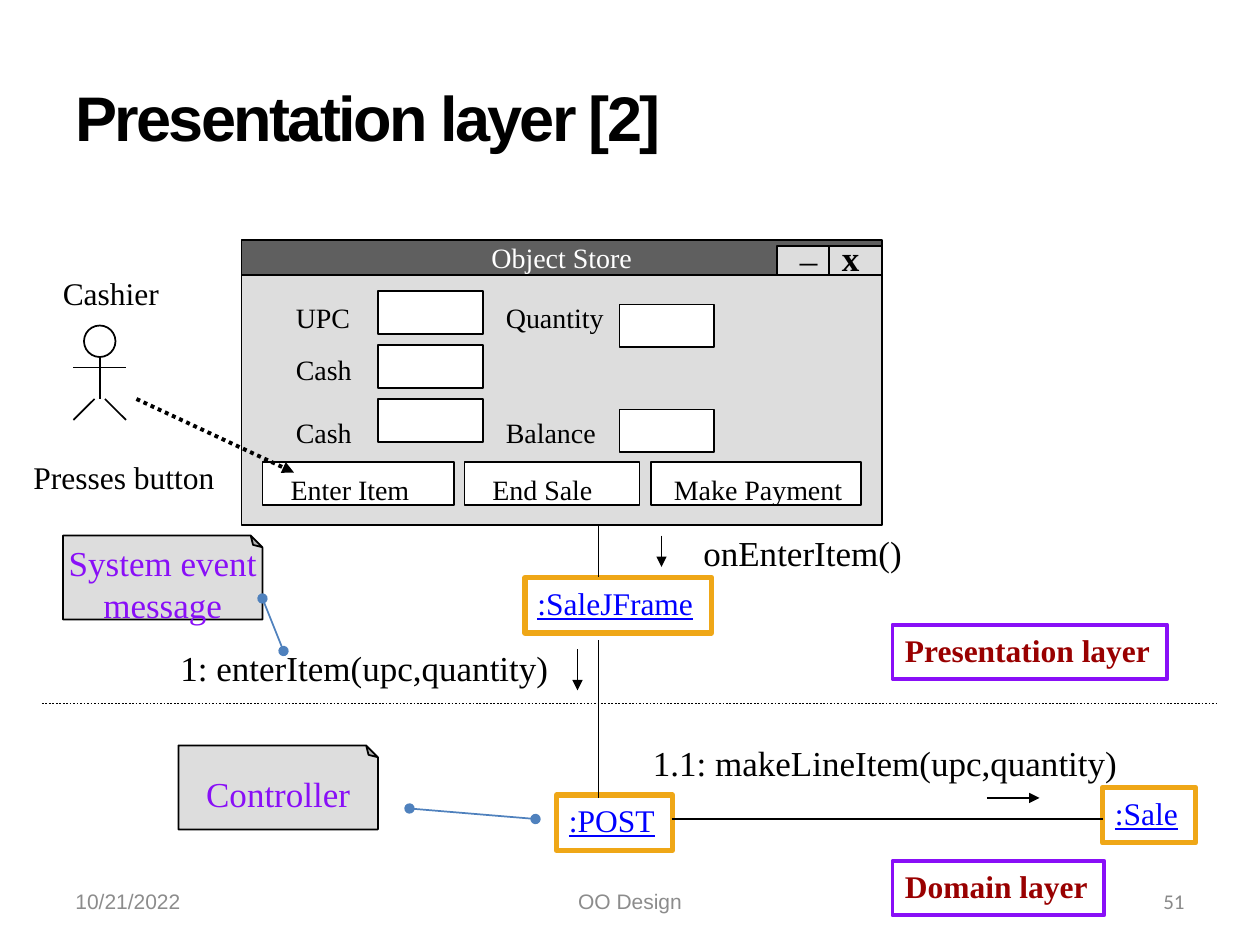
from pptx import Presentation
from pptx import util as u
from pptx.dml.color import RGBColor
from pptx.enum import dml, shapes, text
from pptx.oxml.ns import qn
from lxml import etree

COLORS = {
    "black": "000000", "white": "FFFFFF", "grey": "DDDDDD", "bar": "5F5F5F",
    "footer": "8C8C8C", "number": "898989", "orange": "EFA717", "purple": "890FF7",
    "blue": "4F81BD", "link": "0000FF", "red": "990000",
}
ALIGN = {"left": text.PP_ALIGN.LEFT, "center": text.PP_ALIGN.CENTER, "right": text.PP_ALIGN.RIGHT}
RECTANGLE = shapes.MSO_SHAPE.RECTANGLE

FOOTERS = [
    ("10/21/2022", (36, 500.5, 168, 28.8), "left", "Arial", "footer"),
    ("OO Design", (246, 500.5, 228, 28.8), "center", "Arial", "footer"),
    ("51", (516, 500.5, 168, 28.8), "right", "Calibri", "number"),
]
NOTES = [
    ("Controller", (102, 426, 114, 48)),
    ("System event\nmessage", (36, 306, 114, 48)),
]
OBJECTS = [
    (":SaleJFrame", (300, 330, 106.6, 31.7)),
    (":POST", (318, 454.3, 66.2, 31.7)),
    (":Sale", (630, 450, 53.3, 31.7)),
]
LAYERS = [
    ("Presentation layer", (510, 357, 157, 31)),
    ("Domain layer", (510, 492, 121, 31)),
]
MESSAGES = [
    ("1: enterItem(upc,quantity)", (96, 366, 228, 31)),
    ("onEnterItem()", (394.8, 300, 151, 31)),
    ("1.1: makeLineItem(upc,quantity)", (366, 420, 288, 31)),
]
ACTOR_LABELS = [
    ("Presses button", (12, 258, 118, 28.8)),
    ("Cashier", (28.8, 152.9, 69.8, 28.8)),
]
WINDOW = (138, 137, 366, 163)
TITLE_BAR = (138, 137.5, 366, 19.5)
WINDOW_BUTTONS = [(474, 140.5, 30, 16.5), (444, 140.5, 30, 16.5)]
WINDOW_SIGNS = [("x", (474, 131.5, 24.5, 31), True), ("_", (450, 126, 24.5, 31), False)]
FIELD_HEIGHT = 24.5
FIELD_COLUMNS = [(216, 60, (166.5, 197.25, 228)), (354, 54, (174, 234))]
FIELD_LABELS = [
    ("UPC", 162, 168, 45.4), ("Cash", 162, 198, 46.8), ("Cash", 162, 234, 46.8),
    ("Quantity", 282, 168, 70.6), ("Balance", 282, 234, 66.2),
]
BUTTONS = [
    ("Enter Item", 150, 109.5, 159, 82.8),
    ("End Sale", 265.5, 100, 274.3, 72),
    ("Make Payment", 372, 120, 378, 111),
]
BUTTON_TOP = 264
HEAD = (48, 186, 18, 18)
BODY_LINES = [
    (57, 204, 57, 228), (42, 210, 72, 210), (54, 228, 42, 240), (60, 228, 72, 240),
]
LINKS = [(342, 366, 342, 456), (342, 300, 342, 330), (384, 468, 630, 468)]
ARROWS = [(330, 371, 330, 394.5), (378, 306, 378, 324), (564, 456, 594, 456)]
NOTE_LINES = [(234, 462, 306, 468), (150, 342, 162, 372)]
PRESS_ARROW = (78, 228, 168, 270)
LAYER_BORDER = (24, 402, 696, 402)

presentation = Presentation()
presentation.slide_width, presentation.slide_height = u.Pt(720), u.Pt(540)
slide = presentation.slides.add_slide(presentation.slide_layouts[6])


def color(name):
    return RGBColor.from_string(COLORS[name])


def box(at, kind=RECTANGLE, fill=None, line="black", width=1):
    shape = slide.shapes.add_shape(kind, *map(u.Pt, at))
    shape.shadow.inherit = False
    if fill:
        shape.fill.solid()
        shape.fill.fore_color.rgb = color(fill)
    else:
        shape.fill.background()
    shape.line.color.rgb = color(line)
    shape.line.width = u.Pt(width)
    return shape


def write(words, at=None, shape=None, size=16, font="Times New Roman", ink="black", bold=False,
          underline=False, align="left", middle=False, wrap=False, spacing=None):
    shape = shape or slide.shapes.add_textbox(*map(u.Pt, at))
    frame = shape.text_frame
    frame.text = words
    frame.word_wrap = wrap
    frame.vertical_anchor = text.MSO_ANCHOR.MIDDLE if middle else text.MSO_ANCHOR.TOP
    for paragraph in frame.paragraphs:
        paragraph.alignment = ALIGN[align]
        for run in paragraph.runs:
            run.font.size = u.Pt(size)
            run.font.name = font
            run.font.bold = bold
            run.font.underline = underline
            run.font.color.rgb = color(ink)
            if spacing:
                run._r.get_or_add_rPr().set("spc", str(round(spacing * 100)))


def connect(points, ink="black", width=1, dotted=False, head=None, tail=None):
    line = slide.shapes.add_connector(shapes.MSO_CONNECTOR.STRAIGHT, *map(u.Pt, points))
    line.line.color.rgb = color(ink)
    line.line.width = u.Pt(width)
    if dotted:
        line.line.dash_style = dml.MSO_LINE.ROUND_DOT
    properties = line._element.spPr
    for tag, end in (("a:headEnd", head), ("a:tailEnd", tail)):
        if end:
            etree.SubElement(properties.find(qn("a:ln")), qn(tag), type=end)
    etree.SubElement(properties, qn("a:effectLst"))


def note(words, at):
    shape = box(at, shapes.MSO_SHAPE.FOLDED_CORNER, fill="grey")
    properties = shape._element.spPr
    properties.find(qn("a:xfrm")).set("flipV", "1")
    guides = properties.find(qn("a:prstGeom")).find(qn("a:avLst"))
    etree.SubElement(guides, qn("a:gd"), name="adj", fmla="val 14000")
    write(words, shape=shape, size=20, ink="purple", align="center", middle=True)
    shape._element.txBody.find(qn("a:bodyPr")).set("rot", "10800000")


for words, at, align, font, ink in FOOTERS:
    write(words, at, size=12, font=font, ink=ink, align=align, middle=True, wrap=True)
write("Presentation layer [2]", (36, 21.6, 648, 90), size=36, font="Arial", bold=True,
      middle=True, wrap=True, spacing=-1.5)

for words, at in NOTES:
    note(words, at)
for words, at in OBJECTS:
    write(words, shape=box(at, line="orange", width=3), size=18, ink="link", underline=True)
for words, at in MESSAGES:
    write(words, at, size=20, wrap=True)

box(WINDOW, fill="grey")
for left, width, tops in FIELD_COLUMNS:
    for top in tops:
        box((left, top, width, FIELD_HEIGHT), fill="white")
for words, left, top, width in FIELD_LABELS:
    write(words, (left, top, width, 26.6))
for words, left, width, label_left, label_width in BUTTONS:
    box((left, BUTTON_TOP, width, FIELD_HEIGHT), fill="white")
    write(words, (label_left, BUTTON_TOP + 2.4, label_width, 26.6))
write("Object Store", shape=box(TITLE_BAR, fill="bar"), ink="white", align="center", middle=True)
for at in WINDOW_BUTTONS:
    box(at, fill="grey")
for words, at, bold in WINDOW_SIGNS:
    write(words, at, size=20, bold=bold)

for points in LINKS:
    connect(points)
for points in ARROWS:
    connect(points, tail="triangle")
for points in NOTE_LINES:
    connect(points, ink="blue", head="oval", tail="oval")
connect(PRESS_ARROW, width=2.25, dotted=True, tail="triangle")

box(HEAD, shapes.MSO_SHAPE.OVAL, fill="white")
for points in BODY_LINES:
    connect(points)
for words, at in ACTOR_LABELS:
    write(words, at, size=18)

connect(LAYER_BORDER, dotted=True)
for words, at in LAYERS:
    write(words, shape=box(at, line="purple", width=2.25), size=18, ink="red", bold=True)

presentation.save("out.pptx")
